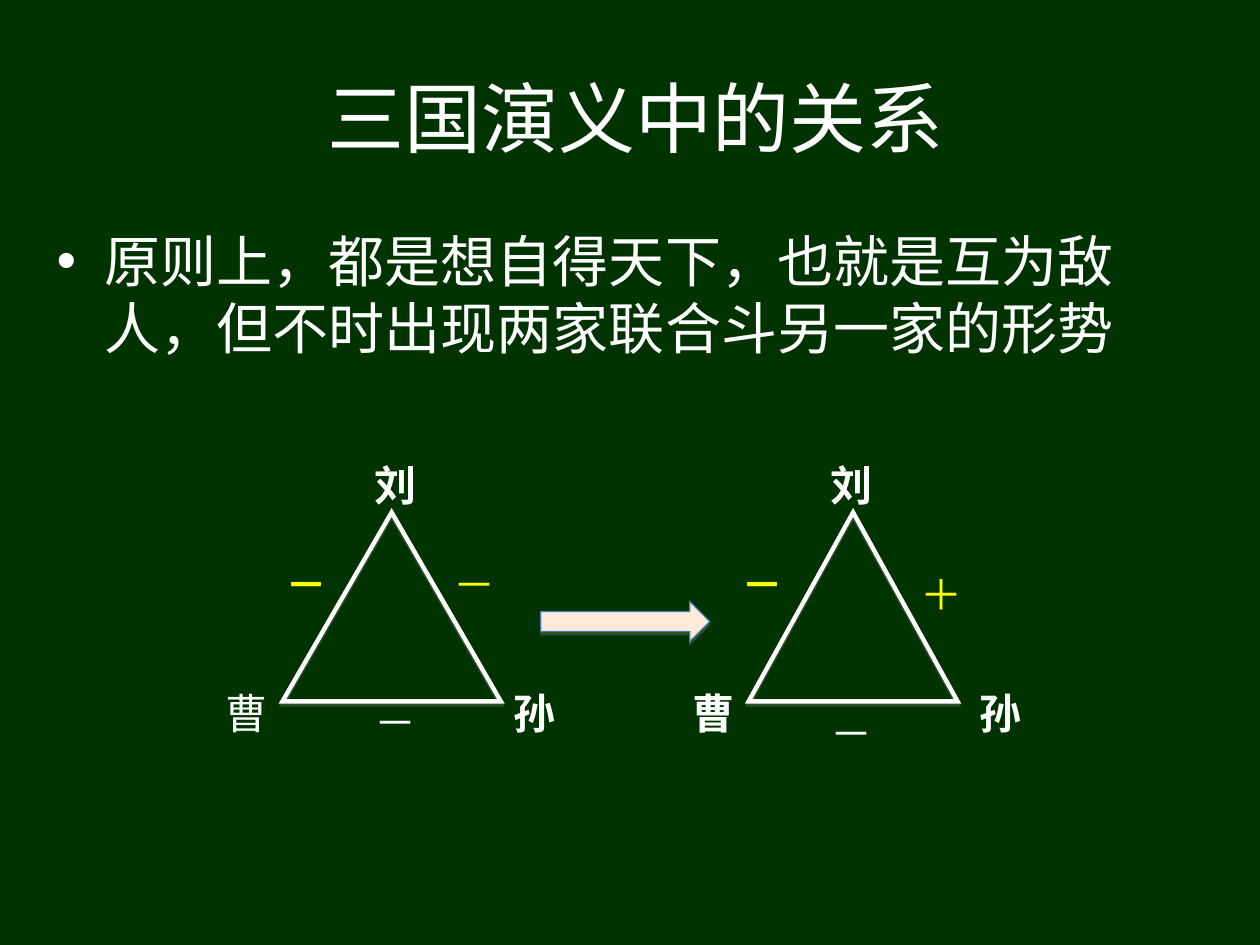
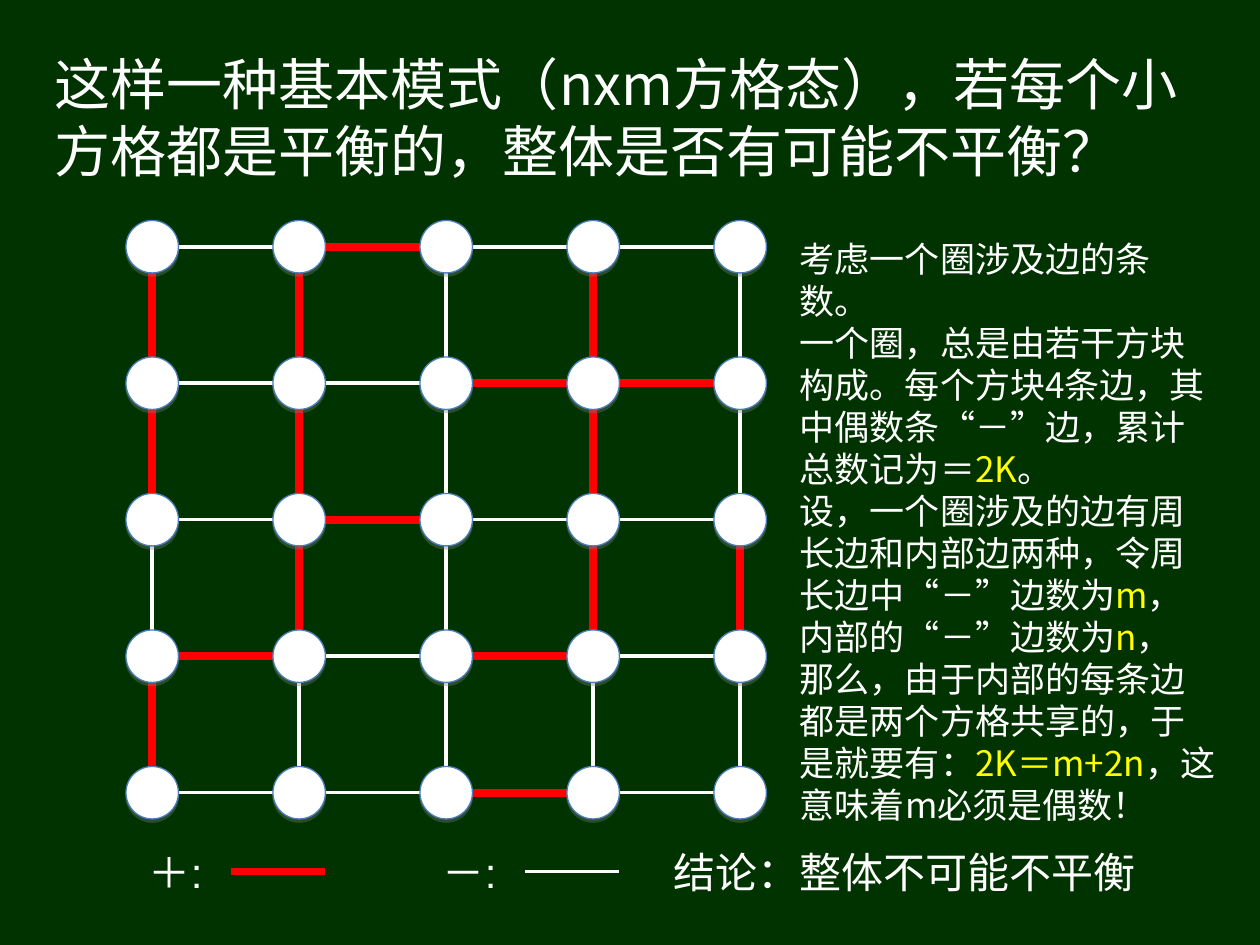
from dataclasses import dataclass

from lxml.etree import SubElement
from pptx import Presentation
from pptx.dml.color import RGBColor
from pptx.enum.shapes import MSO_CONNECTOR, MSO_SHAPE
from pptx.enum.text import MSO_ANCHOR, PP_ALIGN
from pptx.oxml.ns import qn
from pptx.util import Pt

EMU_PER_PX = 7620
GREEN = RGBColor(0x00, 0x33, 0x00)
WHITE = RGBColor(0xFF, 0xFF, 0xFF)
YELLOW = RGBColor(0xFF, 0xFF, 0x00)
RED = RGBColor(0xFF, 0x00, 0x00)
BLUE = RGBColor(0x4A, 0x7E, 0xBB)
PEACH = RGBColor(0xFD, 0xEA, 0xDA)
CHINESE_FONT = "Noto Sans CJK SC"
SIGN_FONT = "Arial"
LINE_HEIGHT = 1.2

NODE = 50
GRID_LEFT, GRID_TOP = 120, 210
COLUMN_STEP, ROW_STEP = 140, 130
GRID_SIZE = 5
HORIZONTAL_EDGES = ["-+--", "--++", "-+--", "+-+-", "--+-"]
VERTICAL_EDGES = ["++-+-", "++-+-", "-+-++", "+----"]


@dataclass(frozen=True)
class Box:
    left: int
    top: int
    width: int
    height: int

    def emu(self) -> list[int]:
        return [px(value) for value in (self.left, self.top, self.width, self.height)]


@dataclass(frozen=True)
class Style:
    size: int = 24
    font: str = CHINESE_FONT
    color: RGBColor = WHITE
    bold: bool = False
    align: PP_ALIGN = PP_ALIGN.LEFT
    anchor: MSO_ANCHOR = MSO_ANCHOR.TOP
    bullet_indent: int = 0


@dataclass(frozen=True)
class Label:
    text: str
    left: int
    top: int
    style: Style


@dataclass(frozen=True)
class Edge:
    color: RGBColor
    width: float


EDGES = {"+": Edge(RED, 4.5), "-": Edge(WHITE, 2)}

NAME = Style()
BOLD_NAME = Style(bold=True)
SIGN = Style(font=SIGN_FONT)
YELLOW_SIGN = Style(font=SIGN_FONT, color=YELLOW)
BOLD_SIGN = Style(font=SIGN_FONT, color=YELLOW, bold=True)

TRIANGLES = [Box(269, 488, 208, 180), Box(713, 488, 199, 180)]
TRIANGLE_LABELS = [
    Label("刘", 345, 432, BOLD_NAME),
    Label("曹", 203, 649, NAME),
    Label("孙", 477, 649, BOLD_NAME),
    Label("－", 260, 526, BOLD_SIGN),
    Label("－", 420, 526, YELLOW_SIGN),
    Label("－", 345, 657, SIGN),
    Label("刘", 779, 432, BOLD_NAME),
    Label("曹", 648, 649, BOLD_NAME),
    Label("孙", 921, 649, BOLD_NAME),
    Label("－", 694, 526, BOLD_SIGN),
    Label("＋", 865, 536, YELLOW_SIGN),
    Label("－", 779, 668, SIGN),
]

ARGUMENT = [
    "考虑一个圈涉及边的条数。",
    "一个圈，总是由若干方块构成。每个方块4条边，其中偶数条“－”边，累计总数记为＝|2K|。",
    "设，一个圈涉及的边有周长边和内部边两种，令周长边中“－”边数为|m|，内部的“－”边数为|n|，",
    "那么，由于内部的每条边都是两个方格共享的，于是就要有：|2K＝m+2n|，这意味着m必须是偶数！",
]


def px(value: int) -> int:
    return value * EMU_PER_PX


def add_slide(presentation):
    slide = presentation.slides.add_slide(presentation.slide_layouts[6])
    slide.background.fill.solid()
    slide.background.fill.fore_color.rgb = GREEN
    return slide


def add_bullet(paragraph, indent: int) -> None:
    properties = paragraph._p.get_or_add_pPr()
    properties.set("marL", str(px(indent)))
    properties.set("indent", str(-px(indent)))
    color = SubElement(properties, qn("a:buClr"))
    SubElement(color, qn("a:srgbClr"), val=str(WHITE))
    SubElement(properties, qn("a:buFont"), typeface=SIGN_FONT)
    SubElement(properties, qn("a:buChar"), char="•")


def format_run(run, style: Style, color: RGBColor) -> None:
    run.font.size = Pt(style.size)
    run.font.bold = style.bold
    run.font.name = style.font
    run.font.color.rgb = color
    SubElement(run._r.get_or_add_rPr(), qn("a:ea"), typeface=style.font)


def add_text(slide, box: Box, paragraphs: list[str], style: Style) -> None:
    text_frame = slide.shapes.add_textbox(*box.emu()).text_frame
    text_frame.word_wrap = True
    text_frame.vertical_anchor = style.anchor
    for index, text in enumerate(paragraphs):
        paragraph = text_frame.add_paragraph() if index else text_frame.paragraphs[0]
        paragraph.alignment = style.align
        paragraph._p.get_or_add_pPr().set("hangingPunct", "0")
        if style.bullet_indent:
            add_bullet(paragraph, style.bullet_indent)
        if style.font == CHINESE_FONT:
            paragraph.line_spacing = Pt(style.size * LINE_HEIGHT)
        for position, piece in enumerate(text.split("|")):
            run = paragraph.add_run()
            run.text = piece
            format_run(run, style, YELLOW if position % 2 else style.color)


def add_title(slide, box: Box, text: str, size: int, align: PP_ALIGN) -> None:
    add_text(slide, box, [text], Style(size, align=align, anchor=MSO_ANCHOR.MIDDLE))


def add_figure(slide, kind: MSO_SHAPE, box: Box, fill: RGBColor | None,
               line: RGBColor, line_width: float) -> None:
    shape = slide.shapes.add_shape(kind, *box.emu())
    if fill is None:
        shape.fill.background()
    else:
        shape.fill.solid()
        shape.fill.fore_color.rgb = fill
    shape.line.color.rgb = line
    shape.line.width = Pt(line_width)
    SubElement(shape._element.spPr.find(qn("a:ln")), qn("a:miter"), lim="800000")
    shape.shadow.inherit = False
    effects = shape._element.spPr.find(qn("a:effectLst"))
    shadow = SubElement(effects, qn("a:outerShdw"), blurRad="0", dist="22860",
                        dir="5400000", rotWithShape="0")
    color = SubElement(shadow, qn("a:srgbClr"), val="808080")
    SubElement(color, qn("a:alpha"), val="35000")


def add_edge(slide, left: int, top: int, right: int, bottom: int, sign: str) -> None:
    connector = slide.shapes.add_connector(
        MSO_CONNECTOR.STRAIGHT, px(left), px(top), px(right), px(bottom))
    connector.line.color.rgb = EDGES[sign].color
    connector.line.width = Pt(EDGES[sign].width)
    SubElement(connector._element.spPr, qn("a:effectLst"))


def add_grid(slide) -> None:
    lefts = [GRID_LEFT + column * COLUMN_STEP for column in range(GRID_SIZE)]
    tops = [GRID_TOP + row * ROW_STEP for row in range(GRID_SIZE)]
    middle = NODE // 2
    for top, signs in zip(tops, HORIZONTAL_EDGES):
        for left, sign in zip(lefts, signs):
            add_edge(slide, left + NODE, top + middle,
                     left + COLUMN_STEP, top + middle, sign)
    for top, signs in zip(tops, VERTICAL_EDGES):
        for left, sign in zip(lefts, signs):
            add_edge(slide, left + middle, top + NODE,
                     left + middle, top + ROW_STEP, sign)
    for top in tops:
        for left in lefts:
            add_figure(slide, MSO_SHAPE.OVAL, Box(left, top, NODE, NODE),
                       WHITE, BLUE, 0.75)


def build_relations_slide(presentation) -> None:
    slide = add_slide(presentation)
    add_title(slide, Box(71, 36, 1069, 150), "三国演义中的关系", 44, PP_ALIGN.CENTER)
    add_text(slide, Box(42, 210, 1098, 164),
             ["原则上，都是想自得天下，也就是互为敌人，但不时出现两家联合斗另一家的形势"],
             Style(32, bullet_indent=46))
    for triangle in TRIANGLES:
        add_figure(slide, MSO_SHAPE.ISOSCELES_TRIANGLE, triangle, None, WHITE, 2.5)
    for label in TRIANGLE_LABELS:
        add_text(slide, Box(label.left, label.top, 66, 60), [label.text], label.style)
    add_figure(slide, MSO_SHAPE.RIGHT_ARROW, Box(515, 573, 161, 38), PEACH, BLUE, 0.75)


def build_grid_slide(presentation) -> None:
    slide = add_slide(presentation)
    add_grid(slide)
    add_title(slide, Box(40, 36, 1100, 150),
              "这样一种基本模式（nxm方格态），若每个小方格都是平衡的，整体是否有可能不平衡？",
              32, PP_ALIGN.LEFT)
    for text, sign, left in (("＋:", "+", 130), ("－:", "-", 410)):
        add_text(slide, Box(left, 800, 90, 60), [text], SIGN)
        add_edge(slide, left + 90, 830, left + 180, 830, sign)
    add_text(slide, Box(750, 220, 420, 533), ARGUMENT, Style(20))
    add_text(slide, Box(630, 800, 480, 60), ["结论：整体不可能不平衡"], NAME)


def main() -> None:
    presentation = Presentation()
    presentation.slide_width = px(1200)
    presentation.slide_height = px(900)
    build_relations_slide(presentation)
    build_grid_slide(presentation)
    presentation.save("out.pptx")


if __name__ == "__main__":
    main()
